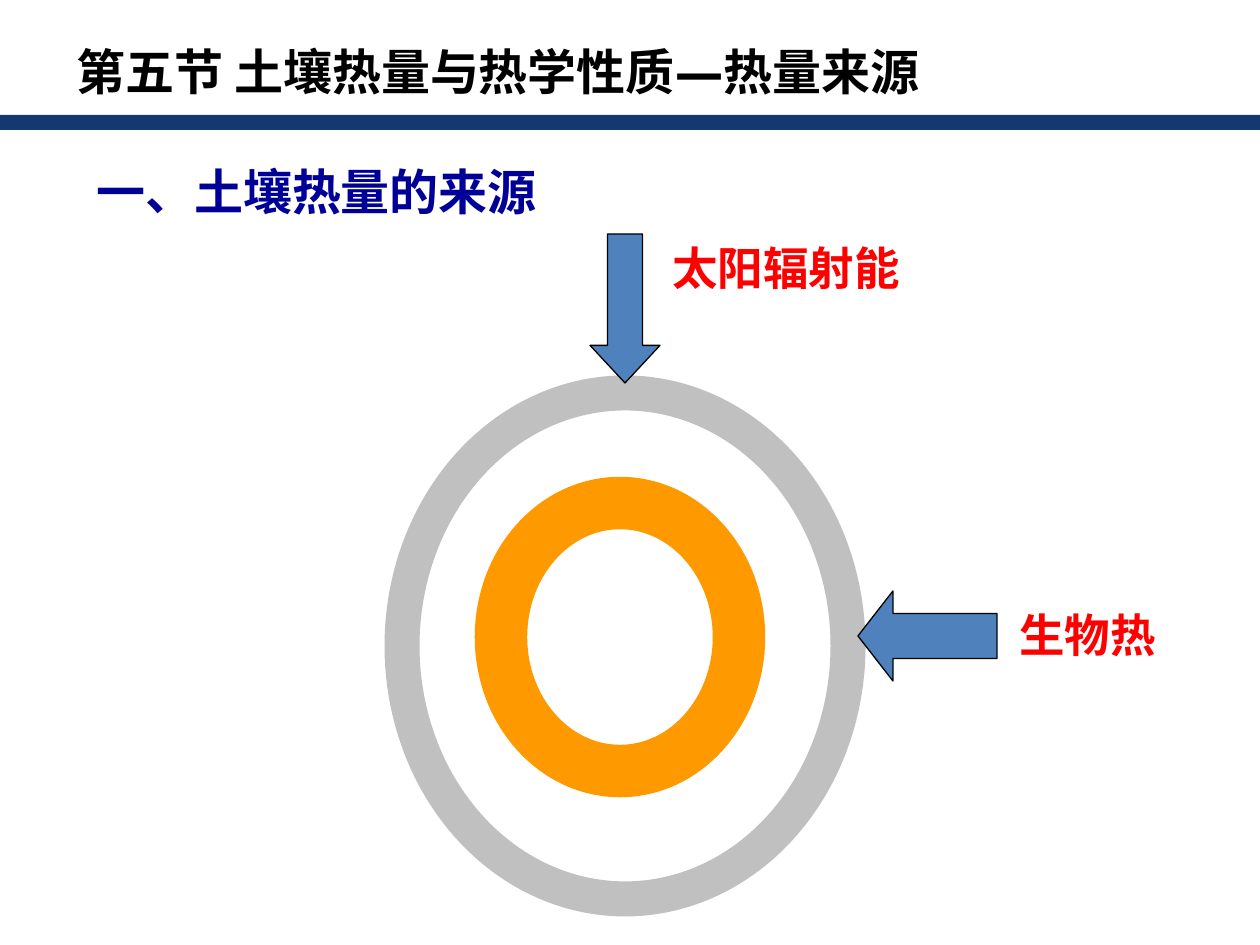
"""Build the slide on the sources of soil heat."""
import pptx
import pptx.dml.color
import pptx.enum.shapes
import pptx.oxml.ns
import pptx.util
from lxml import etree

SCALE = 914400 / 126
CJK = "Noto Sans CJK SC"
SHAPE = pptx.enum.shapes.MSO_SHAPE
COLORS = {
    "bar": "143970",
    "title": "000000",
    "heading": "000099",
    "label": "FF0000",
    "core": "FF9900",
    "surface": "C0C0C0",
    "arrow": "4F81BD",
    "outline": "000000",
}


def px(*lengths):
    return [pptx.util.Emu(round(length * SCALE)) for length in lengths]


def rgb(name):
    return pptx.dml.color.RGBColor.from_string(COLORS[name])


class Painter:
    """Holds the style and the current slide."""

    def __init__(self, page):
        self.page = page
        self.shapes = page.shapes

    def start_group(self):
        self.shapes = self.page.shapes.add_group_shape().shapes

    def end_group(self):
        self.shapes = self.page.shapes

    def shape(self, kind, bounds, fill=None, line=None, width=0.75):
        shape = self.shapes.add_shape(kind, *px(*bounds))
        shape.shadow.inherit = False
        if fill:
            shape.fill.solid()
            shape.fill.fore_color.rgb = rgb(fill)
        else:
            shape.fill.background()
        if line:
            shape.line.color.rgb = rgb(line)
            shape.line.width = pptx.util.Pt(width)
        else:
            shape.line.fill.background()
        return shape

    def arrow(self, kind, bounds, head):
        arrow = self.shape(kind, bounds, "arrow", "outline")
        arrow.adjustments[0] = 0.5
        arrow.adjustments[1] = head

    def text(self, bounds, spans, color, size, hanging=0):
        box = self.shapes.add_textbox(*px(*bounds))
        box.text_frame.word_wrap = True
        paragraph = box.text_frame.paragraphs[0]
        if hanging:
            indent = px(hanging)[0]
            properties = paragraph._p.get_or_add_pPr()
            properties.set("marL", str(indent))
            properties.set("indent", str(-indent))
        for words, latin, asian in spans:
            span = paragraph.add_run()
            span.text = words
            span.font.name = latin
            span.font.size = pptx.util.Pt(size)
            span.font.bold = True
            span.font.color.rgb = rgb(color)
            etree.SubElement(span.font._element, pptx.oxml.ns.qn("a:ea"), typeface=asian)


def main():
    deck = pptx.Presentation()
    deck.slide_width, deck.slide_height = px(1260, 945)
    painter = Painter(deck.slides.add_slide(deck.slide_layouts[6]))

    painter.shape(SHAPE.RECTANGLE, (0, 115, 1260, 15), "bar")
    painter.text((84, 155, 577, 72), [("一、土壤热量的来源", "Times New Roman", CJK)], "heading", 28)

    painter.start_group()
    painter.shape(SHAPE.OVAL, (501, 503, 238, 268), line="core", width=30)
    painter.shape(SHAPE.OVAL, (402, 393, 446, 506), line="surface", width=20)
    painter.end_group()

    sources = [
        ("太阳辐射能", (660, 234, 258, 67), SHAPE.DOWN_ARROW, (590, 234, 70, 149), 0.537),
        ("生物热", (1007, 601, 189, 67), SHAPE.LEFT_ARROW, (858, 591, 139, 90), 0.389),
    ]
    for label, label_bounds, kind, arrow_bounds, head in sources:
        painter.start_group()
        painter.arrow(kind, arrow_bounds, head)
        painter.text(label_bounds, [(label, "Arial", CJK)], "label", 26)
        painter.end_group()

    title = [
        ("第五节 土壤热量与热学性质", CJK, CJK),
        ("—", "DejaVu Sans", "DejaVu Sans"),
        ("热量来源", CJK, CJK),
    ]
    painter.text((64, 35, 912, 72), title, "title", 28, hanging=63)
    deck.save("out.pptx")


if __name__ == "__main__":
    main()
